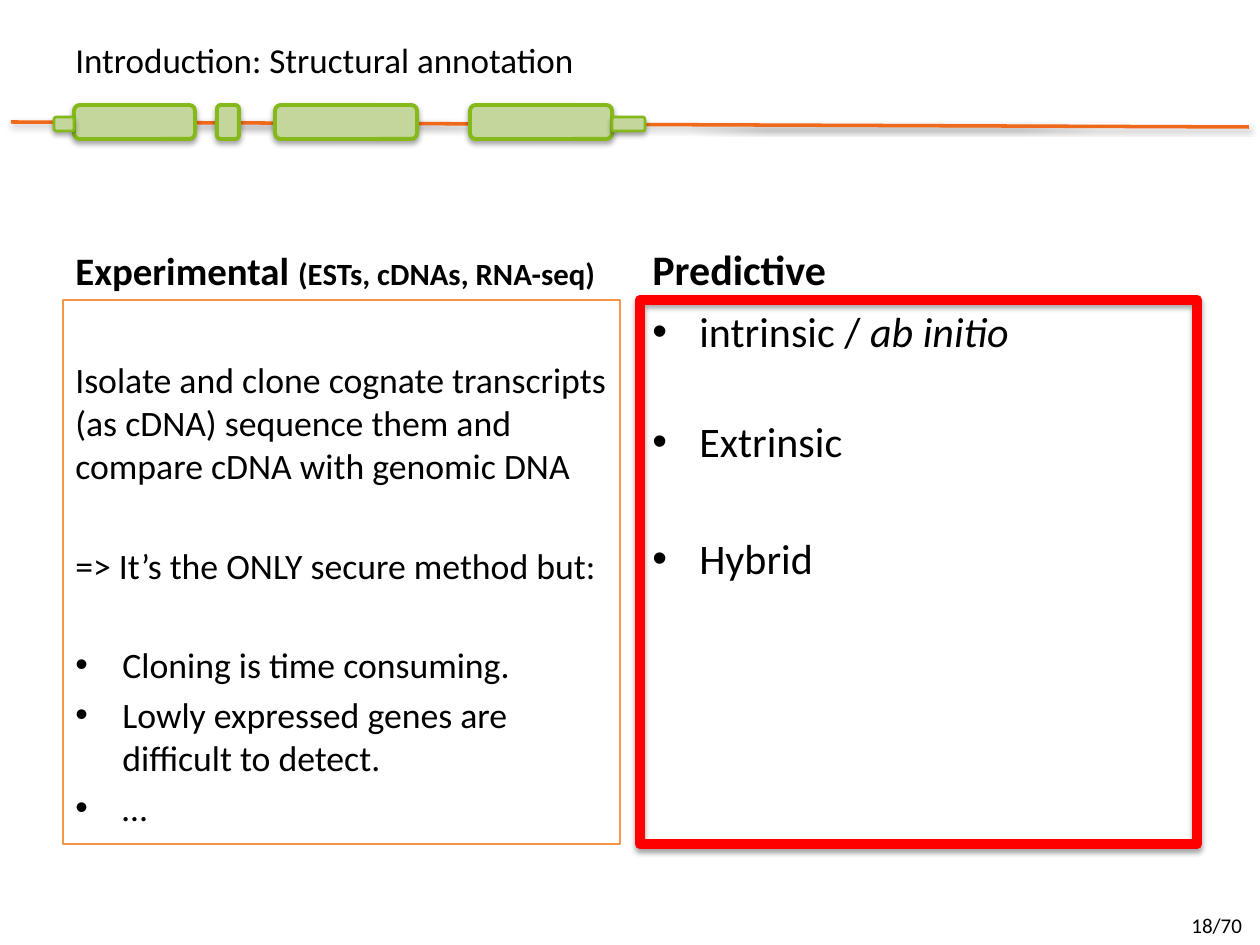
from dataclasses import dataclass

from lxml import etree
from pptx import Presentation
from pptx.dml.color import RGBColor
from pptx.enum.shapes import MSO_CONNECTOR, MSO_SHAPE
from pptx.enum.text import MSO_ANCHOR
from pptx.oxml.ns import qn
from pptx.util import Emu, Pt

RECT, ROUND = MSO_SHAPE.RECTANGLE, MSO_SHAPE.ROUNDED_RECTANGLE
TOP, MIDDLE, BOTTOM = MSO_ANCHOR.TOP, MSO_ANCHOR.MIDDLE, MSO_ANCHOR.BOTTOM
PX = 914400 / 126


@dataclass(frozen=True)
class Theme:
    font: str = "Calibri"
    text: str = "000000"
    strand: str = "F0681A"
    exon: str = "C3D69B"
    exon_edge: str = "84B919"
    panel_edge: str = "F79646"
    highlight: str = "FF0000"
    title: float = 20
    heading: float = 24
    heading_fit: float = 22.2
    heading_note: float = 17.6
    body: float = 20.4
    methods: float = 24
    page: float = 12


T = Theme()

TITLE = "Introduction: Structural annotation"
PAGE = "18/70"

# Gene model: (left, width)
EXONS = [(74, 121), (217, 22), (275, 142), (470, 142)]
UTRS = [(54, 20), (612, 33)]

# Headings: runs of (text, size)
EXPERIMENTAL = [("Experimental ", T.heading_fit), ("(ESTs, cDNAs, RNA-seq)", T.heading_note)]
PREDICTIVE = [("Predictive", T.heading)]

# Paragraphs: (runs of (text, italic), bulleted, space before in points)
LIMITS = [
    ([("Isolate and clone cognate transcripts (as cDNA) sequence them and "
       "compare cDNA with genomic DNA", False)], False, 0),
    ([("=> It’s the ONLY secure method but:", False)], False, 32.5),
    ([("Cloning is time consuming.", False)], True, 32.5),
    ([("Lowly expressed genes are difficult to detect.", False)], True, 4),
    ([("…", False)], True, 4),
]
METHODS = [
    ([("intrinsic / ", False), ("ab initio", True)], True, 0),
    ([("Extrinsic", False)], True, 34),
    ([("Hybrid", False)], True, 38),
]

COLUMNS = [63, 640]
COL_W, HEAD_Y, HEAD_H, PANEL_Y, PANEL_H = 557, 212, 88, 300, 544
INDENT = 47


def px(n):
    return Emu(round(n * PX))


def rgb(value):
    return RGBColor.from_string(value)


def add_shadow(s, alpha, dist):
    """Soft drop shadow straight down; alpha in percent, dist in points."""
    sp_pr = s._element.spPr
    for old in sp_pr.findall(qn("a:effectLst")):
        sp_pr.remove(old)
    effects = etree.SubElement(sp_pr, qn("a:effectLst"))
    shadow = etree.SubElement(effects, qn("a:outerShdw"), blurRad=str(Pt(3.1)),
                              dist=str(Pt(dist)), dir="5400000", rotWithShape="0")
    color = etree.SubElement(shadow, qn("a:srgbClr"), val="000000")
    etree.SubElement(color, qn("a:alpha"), val=str(alpha * 1000))


def add_box(slide, kind, box, edge, width, fill=None):
    s = slide.shapes.add_shape(kind, *map(px, box))
    s.shadow.inherit = False
    if fill:
        s.fill.solid()
        s.fill.fore_color.rgb = rgb(fill)
    else:
        s.fill.background()
    s.line.color.rgb = rgb(edge)
    s.line.width = Pt(width)
    return s


def add_text_frame(slide, box, anchor=TOP, top=6):
    tf = slide.shapes.add_textbox(*map(px, box)).text_frame
    tf.word_wrap = True
    tf.vertical_anchor = anchor
    tf.margin_top = px(top)
    return tf


def style(p, size, bold=False):
    p.font.name = T.font
    p.font.size = Pt(size)
    p.font.bold = bold
    p.font.color.rgb = rgb(T.text)


def add_label(slide, box, text, size, anchor=TOP):
    p = add_text_frame(slide, box, anchor).paragraphs[0]
    p.text = text
    style(p, size)


def add_heading(slide, left, runs):
    p = add_text_frame(slide, (left, HEAD_Y, COL_W, HEAD_H), BOTTOM).paragraphs[0]
    style(p, runs[0][1], bold=True)
    for text, size in runs:
        r = p.add_run()
        r.text = text
        r.font.size = Pt(size)


def add_bullet(p):
    p_pr = p._p.get_or_add_pPr()
    p_pr.set("marL", str(px(INDENT)))
    p_pr.set("indent", str(-px(INDENT)))
    etree.SubElement(p_pr, qn("a:buFont"), typeface="Arial")
    etree.SubElement(p_pr, qn("a:buChar"), char="•")


def add_body(slide, left, paragraphs, size, top):
    tf = add_text_frame(slide, (left, PANEL_Y, COL_W, PANEL_H), top=top)
    for i, (runs, bulleted, before) in enumerate(paragraphs):
        p = tf.add_paragraph() if i else tf.paragraphs[0]
        if bulleted:
            add_bullet(p)
        if before:
            p.space_before = Pt(before)
        style(p, size)
        for text, italic in runs:
            r = p.add_run()
            r.text = text
            if italic:
                r.font.italic = True


def add_gene_model(slide):
    strand = slide.shapes.add_connector(MSO_CONNECTOR.STRAIGHT, *map(px, (11, 122, 1249, 127)))
    strand.line.color.rgb = rgb(T.strand)
    strand.line.width = Pt(2)
    add_shadow(strand, 38, 1.6)
    for parts, y, h, edge in ((EXONS, 105, 34, 2.25), (UTRS, 117, 14, 1.5)):
        for x, w in parts:
            add_shadow(add_box(slide, ROUND, (x, y, w, h), T.exon_edge, edge, T.exon), 35, 1.8)


def main():
    prs = Presentation()
    prs.slide_width, prs.slide_height = px(1260), px(945)
    slide = prs.slides.add_slide(prs.slide_layouts[6])
    left, right = COLUMNS

    add_gene_model(slide)
    add_label(slide, (left, 30, 577, 60), TITLE, T.title, MIDDLE)

    add_heading(slide, left, EXPERIMENTAL)
    add_box(slide, RECT, (left, PANEL_Y, COL_W, PANEL_H), T.panel_edge, 1.5)
    add_body(slide, left, LIMITS, T.body, top=58)

    add_heading(slide, right, PREDICTIVE)
    add_body(slide, right, METHODS, T.methods, top=6)
    frame = add_box(slide, RECT, (right, PANEL_Y, COL_W, PANEL_H), T.highlight, 6)
    add_shadow(frame, 35, 1.8)

    add_label(slide, (1179, 907, 81, 38), PAGE, T.page)
    prs.save("out.pptx")


if __name__ == "__main__":
    main()
